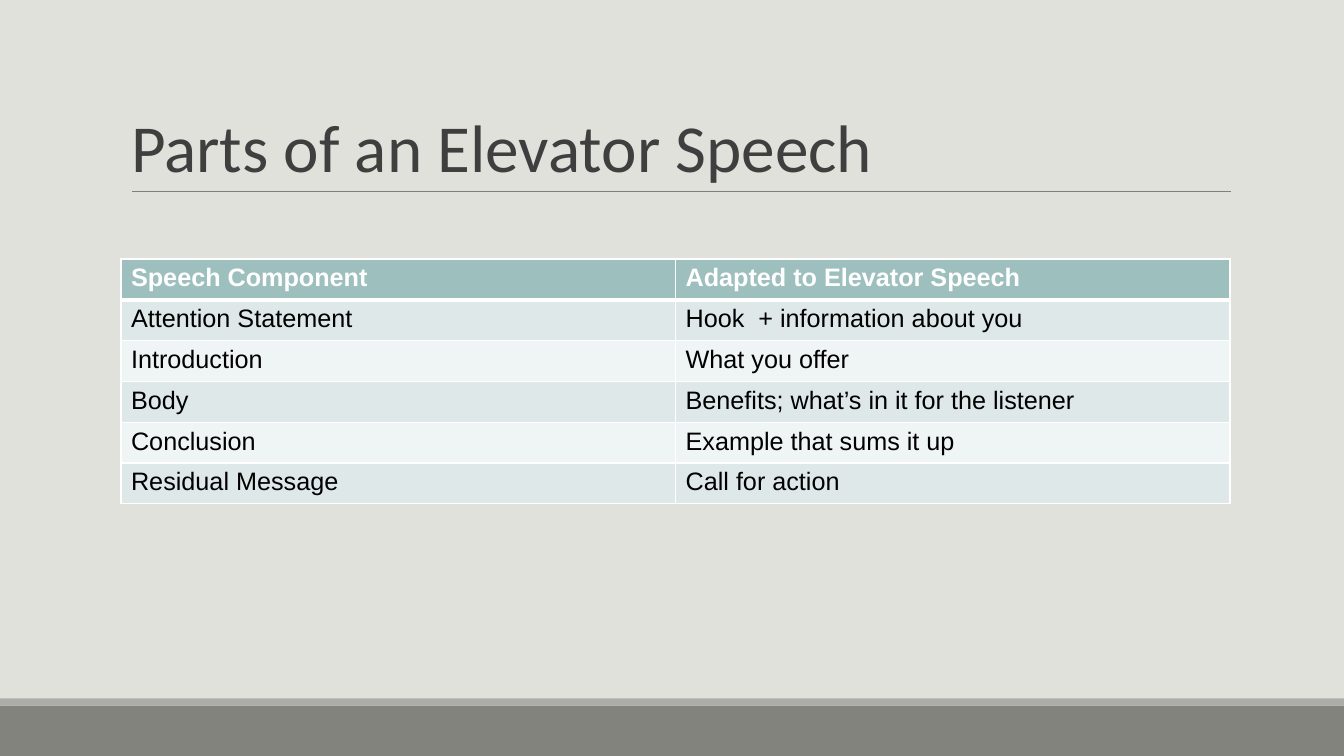
import pptx
import pptx.dml.color
import pptx.enum.shapes
import pptx.enum.text
import pptx.oxml.ns
import pptx.util
from dataclasses import dataclass
from lxml import etree

Inches = pptx.util.Inches


@dataclass(frozen=True)
class Theme:
    background: str = "E1E1DB"
    footer: str = "82837C"
    footer_edge: str = "ACADA8"
    rule: str = "7F7F7F"
    title: str = "3F3F3F"
    header: str = "9DBFBE"
    bands: tuple = ("DEE8E8", "EFF4F4")
    light: str = "FFFFFF"
    dark: str = "000000"
    title_font: str = "Calibri"
    body_font: str = "Arial"
    title_size: int = 48
    body_size: int = 18


def rgb(value):
    return pptx.dml.color.RGBColor.from_string(value)


def apply(target, values):
    for name, value in values.items():
        setattr(target, name, value)


class SlideBuilder:
    def __init__(self, presentation, theme):
        self.theme = theme
        self.slide = presentation.slides.add_slide(presentation.slide_layouts[5])
        self.fill(self.slide.background, theme.background)

    def fill(self, target, color):
        target.fill.solid()
        target.fill.fore_color.rgb = rgb(color)

    def font(self, paragraph, color, **values):
        apply(paragraph.font, values)
        paragraph.font.color.rgb = rgb(color)

    def band(self, left, top, width, height, color):
        band = self.slide.shapes.add_shape(
            pptx.enum.shapes.MSO_SHAPE.RECTANGLE,
            Inches(left), Inches(top), Inches(width), Inches(height))
        band.shadow.inherit = False
        self.fill(band, color)
        band.line.fill.background()

    def rule(self, left, right, y):
        rule = self.slide.shapes.add_connector(
            pptx.enum.shapes.MSO_CONNECTOR.STRAIGHT,
            Inches(left), Inches(y), Inches(right), Inches(y))
        rule.line.color.rgb = rgb(self.theme.rule)
        rule.line.width = pptx.util.Pt(0.75)
        properties = rule._element.spPr
        etree.SubElement(properties, pptx.oxml.ns.qn("a:effectLst"))

    def title(self, text, left, top, width, height):
        title = self.slide.shapes.title
        apply(title, {"left": Inches(left), "top": Inches(top),
                      "width": Inches(width), "height": Inches(height)})
        frame = title.text_frame
        frame.text = text
        apply(frame, {"word_wrap": True,
                      "auto_size": pptx.enum.text.MSO_AUTO_SIZE.NONE,
                      "vertical_anchor": pptx.enum.text.MSO_ANCHOR.BOTTOM})
        paragraph = frame.paragraphs[0]
        apply(paragraph, {"alignment": pptx.enum.text.PP_ALIGN.LEFT,
                          "line_spacing": 0.85})
        self.font(paragraph, self.theme.title, name=self.theme.title_font,
                  size=pptx.util.Pt(self.theme.title_size))

    def borders(self, cell, widths):
        properties = cell._tc.get_or_add_tcPr()
        for side, width in widths.items():
            line = etree.SubElement(properties, pptx.oxml.ns.qn(f"a:ln{side}"),
                                    w=str(pptx.util.Pt(width)))
            solid = etree.SubElement(line, pptx.oxml.ns.qn("a:solidFill"))
            etree.SubElement(solid, pptx.oxml.ns.qn("a:srgbClr"),
                             val=self.theme.light)

    def table(self, rows, left, top, width, height):
        theme = self.theme
        table = self.slide.shapes.add_table(
            len(rows), len(rows[0]),
            Inches(left), Inches(top), Inches(width), Inches(height)).table
        for row, texts in enumerate(rows):
            is_header = row == 0
            for column, text in enumerate(texts):
                cell = table.cell(row, column)
                cell.text = text
                # The line below the header is heavier than the others
                self.borders(cell, {"L": 1, "R": 1, "T": 3 if row == 1 else 1,
                                    "B": 3 if is_header else 1})
                self.fill(cell, theme.header if is_header
                          else theme.bands[(row - 1) % 2])
                self.font(cell.text_frame.paragraphs[0],
                          theme.light if is_header else theme.dark,
                          name=theme.body_font, bold=is_header,
                          size=pptx.util.Pt(theme.body_size))


SPEECH_PARTS = [
    ("Speech Component", "Adapted to Elevator Speech"),
    ("Attention Statement", "Hook  + information about you"),
    ("Introduction", "What you offer"),
    ("Body", "Benefits; what’s in it for the listener"),
    ("Conclusion", "Example that sums it up"),
    ("Residual Message", "Call for action"),
]


def main():
    presentation = pptx.Presentation()
    apply(presentation, {"slide_width": Inches(13.33),
                         "slide_height": Inches(7.5)})
    theme = Theme()
    builder = SlideBuilder(presentation, theme)

    # Footer bands
    builder.band(0, 7, 13.33, 0.5, theme.footer)
    builder.band(0, 6.93, 13.33, 0.07, theme.footer_edge)

    # Title and its rule
    builder.rule(1.31, 12.21, 1.9)
    builder.title("Parts of an Elevator Speech", 1.2, 0.31, 11, 1.59)

    # Speech parts
    builder.table(SPEECH_PARTS, 1.2, 2.57, 11, 2.43)

    presentation.save("out.pptx")


if __name__ == "__main__":
    main()
